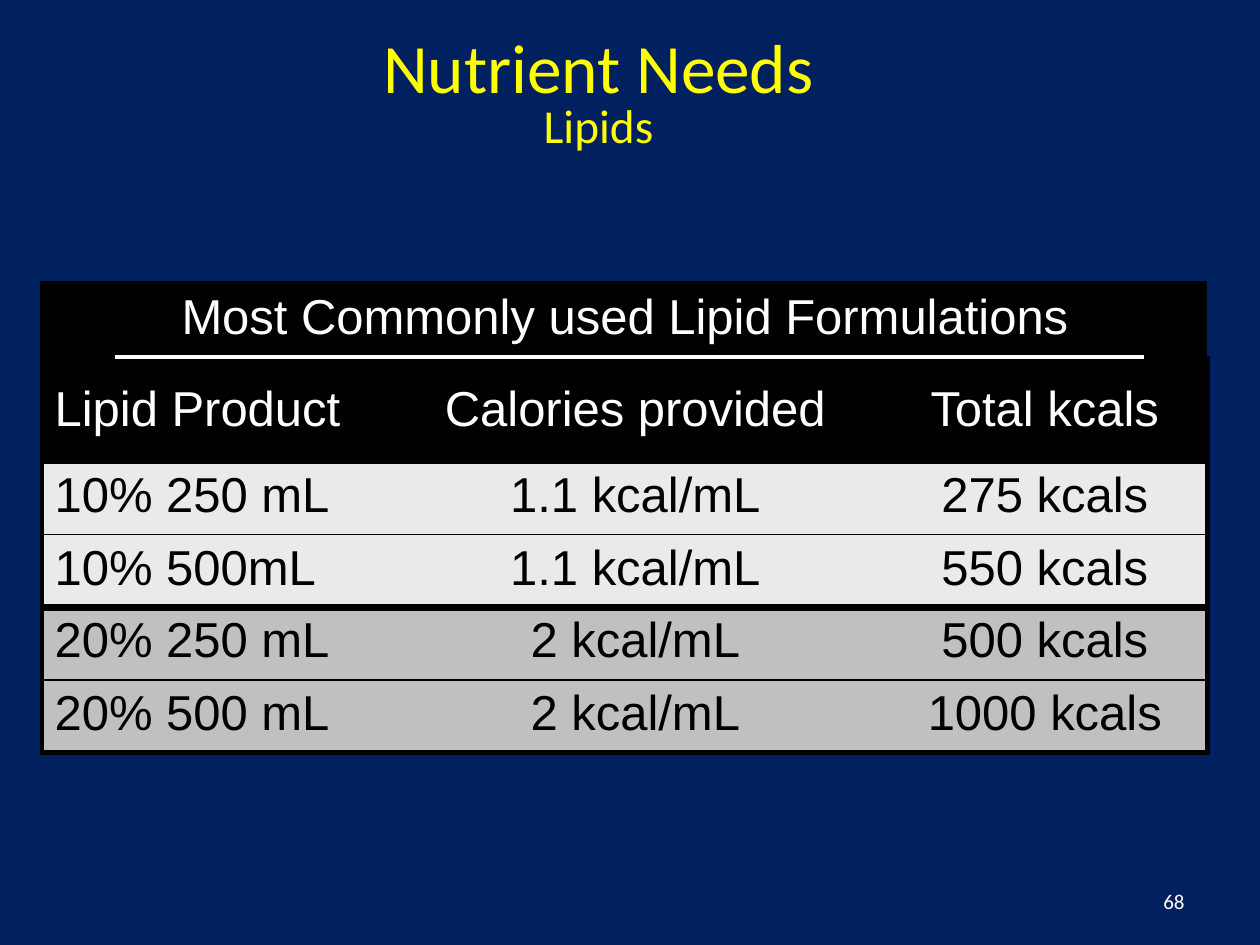
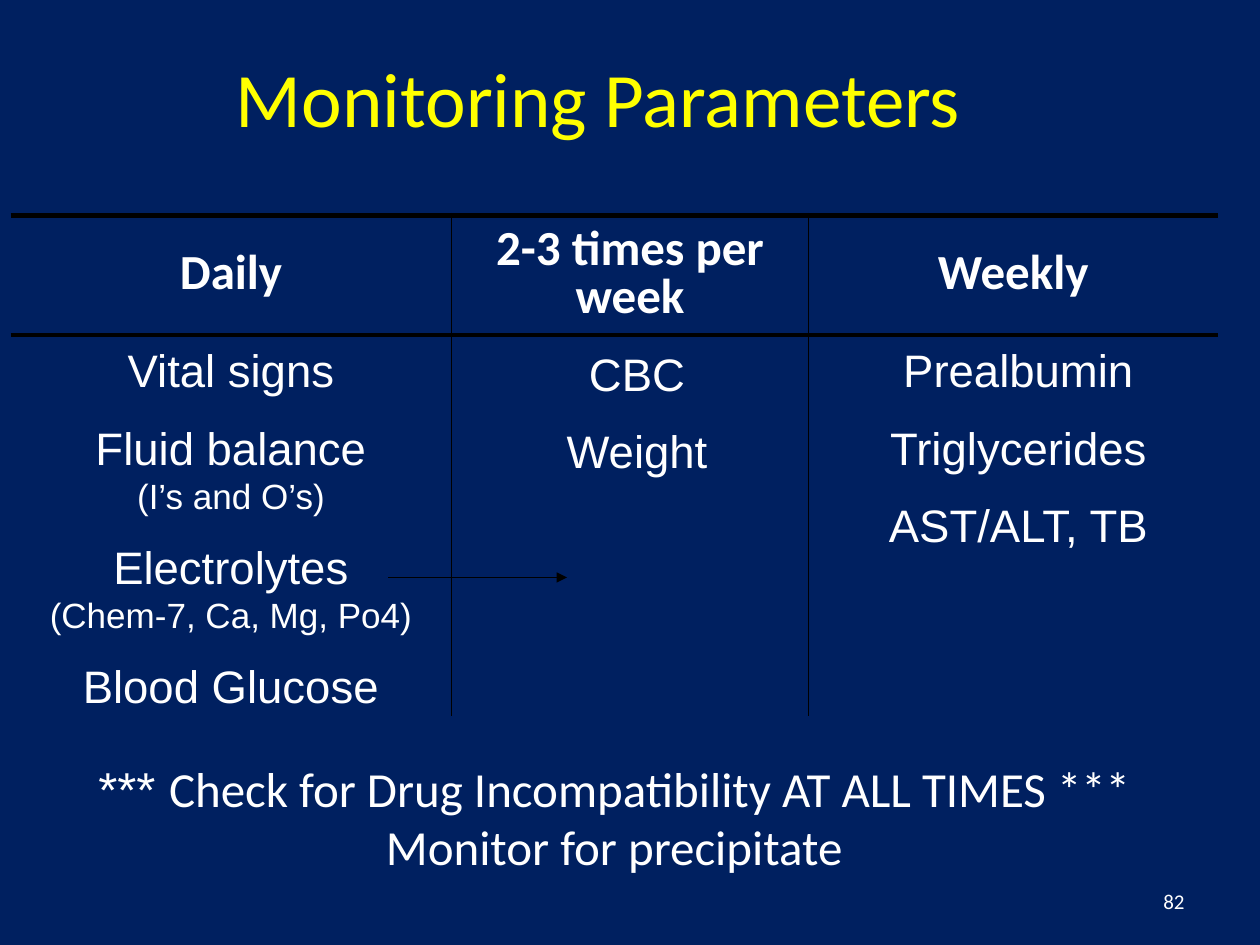
"""Build two slides on lipid formulations and nutrition monitoring."""
import dataclasses

import lxml.etree
import pptx
import pptx.dml.color
import pptx.enum.shapes
import pptx.enum.text
import pptx.oxml.ns
import pptx.util

Pt = pptx.util.Pt
RGB = pptx.dml.color.RGBColor.from_string
qn = pptx.oxml.ns.qn
ALIGN = pptx.enum.text.PP_ALIGN
ANCHOR = pptx.enum.text.MSO_ANCHOR
AUTO = pptx.enum.text.MSO_AUTO_SIZE
STRAIGHT = pptx.enum.shapes.MSO_CONNECTOR.STRAIGHT


@dataclasses.dataclass(frozen=True)
class Theme:
    navy: str = "002060"
    yellow: str = "FFFF00"
    white: str = "FFFFFF"
    black: str = "000000"
    light: str = "EAEAEA"
    grey: str = "C0C0C0"
    heading: str = "Calibri"
    body: str = "Arial"
    title: float = 44
    title_tight: float = 39.6
    subtitle: float = 27
    table: float = 28
    item: float = 26
    detail: float = 20
    number: float = 12


T = Theme()


def add_run(p, text, size, color=T.white, font=T.body, bold=False):
    r = p.add_run()
    r.text = text
    r.font.size = Pt(size)
    r.font.name = font
    r.font.bold = bold
    r.font.color.rgb = RGB(color)


def add_grid(s, left, top, cols, rows, h_rules, v_rules, fills):
    """Add a table whose rule widths are listed per row edge and per row."""
    frame = s.shapes.add_table(len(rows), len(cols), Pt(left), Pt(top), Pt(sum(cols)), Pt(sum(rows)))
    table = frame.table
    table.first_row = table.horz_banding = False
    for col, width in zip(table.columns, cols):
        col.width = Pt(width)
    for i, height in enumerate(rows):
        table.rows[i].height = Pt(height)
        for j in range(len(cols)):
            cell = table.cell(i, j)
            widths = (v_rules[i][j], v_rules[i][j + 1], h_rules[i], h_rules[i + 1])
            tc_pr = cell._tc.get_or_add_tcPr()
            for side, width in zip("LRTB", widths):
                ln = lxml.etree.SubElement(tc_pr, qn(f"a:ln{side}"), w=str(Pt(width)))
                if width:
                    fill = lxml.etree.SubElement(ln, qn("a:solidFill"))
                    lxml.etree.SubElement(fill, qn("a:srgbClr"), val=T.black)
                else:
                    lxml.etree.SubElement(ln, qn("a:noFill"))
            if fills[i]:
                cell.fill.solid()
                cell.fill.fore_color.rgb = RGB(fills[i])
            else:
                cell.fill.background()
    return table


prs = pptx.Presentation()
prs.slide_width, prs.slide_height = Pt(720), Pt(540)
bg = prs.slide_master.background.fill
bg.solid()
bg.fore_color.rgb = RGB(T.navy)

pages = [
    ([("Nutrient Needs", T.title_tight), ("Lipids", T.subtitle)], 0.8, "68"),
    ([("Monitoring Parameters", T.title)], 1.0, "82"),
]
slides = []
for lines, spacing, number in pages:
    s = prs.slides.add_slide(prs.slide_layouts[5])
    slides.append(s)
    sp = s.shapes.title
    sp.left, sp.top, sp.width, sp.height = Pt(18), Pt(18), Pt(648), Pt(74)
    tf = sp.text_frame
    tf.auto_size = AUTO.NONE
    tf.vertical_anchor = ANCHOR.MIDDLE
    p = tf.paragraphs[0]
    p.alignment = ALIGN.CENTER
    p.line_spacing = spacing
    for k, (text, size) in enumerate(lines):
        if k:
            p.add_line_break()
        add_run(p, text, size, T.yellow, T.heading)
    tf = s.shapes.add_textbox(Pt(516), Pt(500.5), Pt(168), Pt(28.75)).text_frame
    tf.word_wrap = True
    tf.vertical_anchor = ANCHOR.MIDDLE
    p = tf.paragraphs[0]
    p.alignment = ALIGN.RIGHT
    add_run(p, number, T.number, font=T.heading)

lipids, monitoring = slides

formulations = [
    ("Most Commonly used Lipid Formulations",),
    ("Lipid Product", "Calories provided", "Total kcals"),
    ("10% 250 mL", "1.1 kcal/mL", "275 kcals"),
    ("10% 500mL", "1.1 kcal/mL", "550 kcals"),
    ("20% 250 mL", "2 kcal/mL", "500 kcals"),
    ("20% 500 mL", "2 kcal/mL", "1000 kcals"),
]
table = add_grid(
    lipids, 24, 162, [198, 282, 186], [42, 60, 41.5, 41.5, 41.5, 41.5],
    [3, 1, 2.25, 1, 4.5, 1, 3], [(3, 0, 0, 3)] * 6,
    [T.black] * 2 + [T.light] * 2 + [T.grey] * 2)
table.cell(0, 0).merge(table.cell(0, 2))
for i, row in enumerate(formulations):
    for j, text in enumerate(row):
        cell = table.cell(i, j)
        cell.vertical_anchor = ANCHOR.MIDDLE if i == 1 else ANCHOR.TOP
        p = cell.text_frame.paragraphs[0]
        p.alignment = ALIGN.LEFT if i and not j else ALIGN.CENTER
        add_run(p, text, T.table, T.white if i < 2 else T.black)

table = add_grid(
    monitoring, 6, 123, [252, 204, 234], [68.5, 52.5, 59, 53.5, 52.5, 94.5],
    [3, 3, 0, 0, 0, 0, 0], [(0, 1, 1, 0)] * 5 + [(0, 0, 0, 0)], [None] * 6)
for j, text in enumerate(["Daily", "2-3 times per week", "Weekly"]):
    cell = table.cell(0, j)
    cell.vertical_anchor = ANCHOR.MIDDLE
    p = cell.text_frame.paragraphs[0]
    p.alignment = ALIGN.CENTER
    p.line_spacing = 0.8
    add_run(p, text, T.table, font=T.heading, bold=True)

cell = table.cell(5, 0)
cell.merge(table.cell(5, 2))
cell.vertical_anchor = ANCHOR.BOTTOM
tf = cell.text_frame
warning = [
    [("*** ", T.body), ("Check for Drug Incompatibility AT ALL TIMES ***", T.heading)],
    [("Monitor for precipitate", T.heading)],
]
for k, runs in enumerate(warning):
    p = tf.add_paragraph() if k else tf.paragraphs[0]
    p.alignment = ALIGN.CENTER
    p.line_spacing = 0.8
    if k:
        p.space_before = Pt(5.6)
    for text, font in runs:
        add_run(p, text, T.table, font=font)

rules = [
    (lipids, 66, 204, 654, T.white, 2, False),
    (monitoring, 222, 330, 324, T.black, 0.75, True),
]
for s, x1, y, x2, color, width, arrow in rules:
    c = s.shapes.add_connector(STRAIGHT, Pt(x1), Pt(y), Pt(x2), Pt(y))
    c.line.color.rgb = RGB(color)
    c.line.width = Pt(width)
    if arrow:
        lxml.etree.SubElement(c.line._get_or_add_ln(), qn("a:tailEnd"), type="triangle")
    lxml.etree.SubElement(c._element.spPr, qn("a:effectLst"))

schedules = [
    (18, 192, 228, 250, [("Vital signs", ""), ("Fluid balance", "(I’s and O’s)"),
                         ("Electrolytes", "(Chem-7, Ca, Mg, Po4)"), ("Blood Glucose", "")]),
    (262, 194, 204, 82, [("CBC", ""), ("Weight", "")]),
    (468, 192, 228, 126, [("Prealbumin", ""), ("Triglycerides", ""), ("AST/ALT, TB", "")]),
]
for left, top, width, height, tests in schedules:
    tf = monitoring.shapes.add_textbox(Pt(left), Pt(top), Pt(width), Pt(height)).text_frame
    tf.word_wrap = True
    tf.auto_size = AUTO.SHAPE_TO_FIT_TEXT
    for k, (test, detail) in enumerate(tests):
        p = tf.add_paragraph() if k else tf.paragraphs[0]
        p.alignment = ALIGN.CENTER
        if k:
            p.space_before = Pt(13)
        add_run(p, test, T.item)
        if detail:
            p = tf.add_paragraph()
            p.alignment = ALIGN.CENTER
            add_run(p, detail, T.detail)

prs.save("out.pptx")
